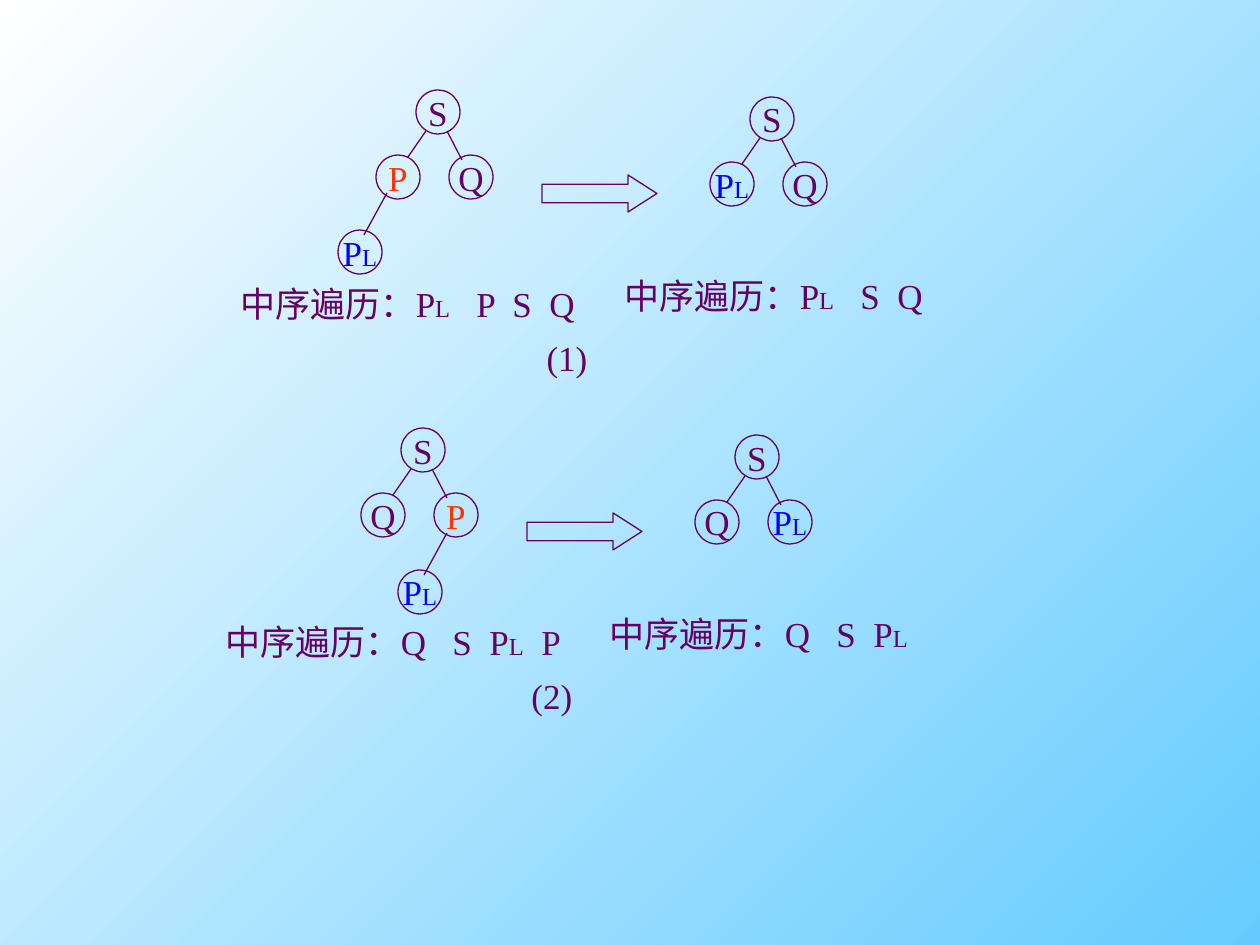
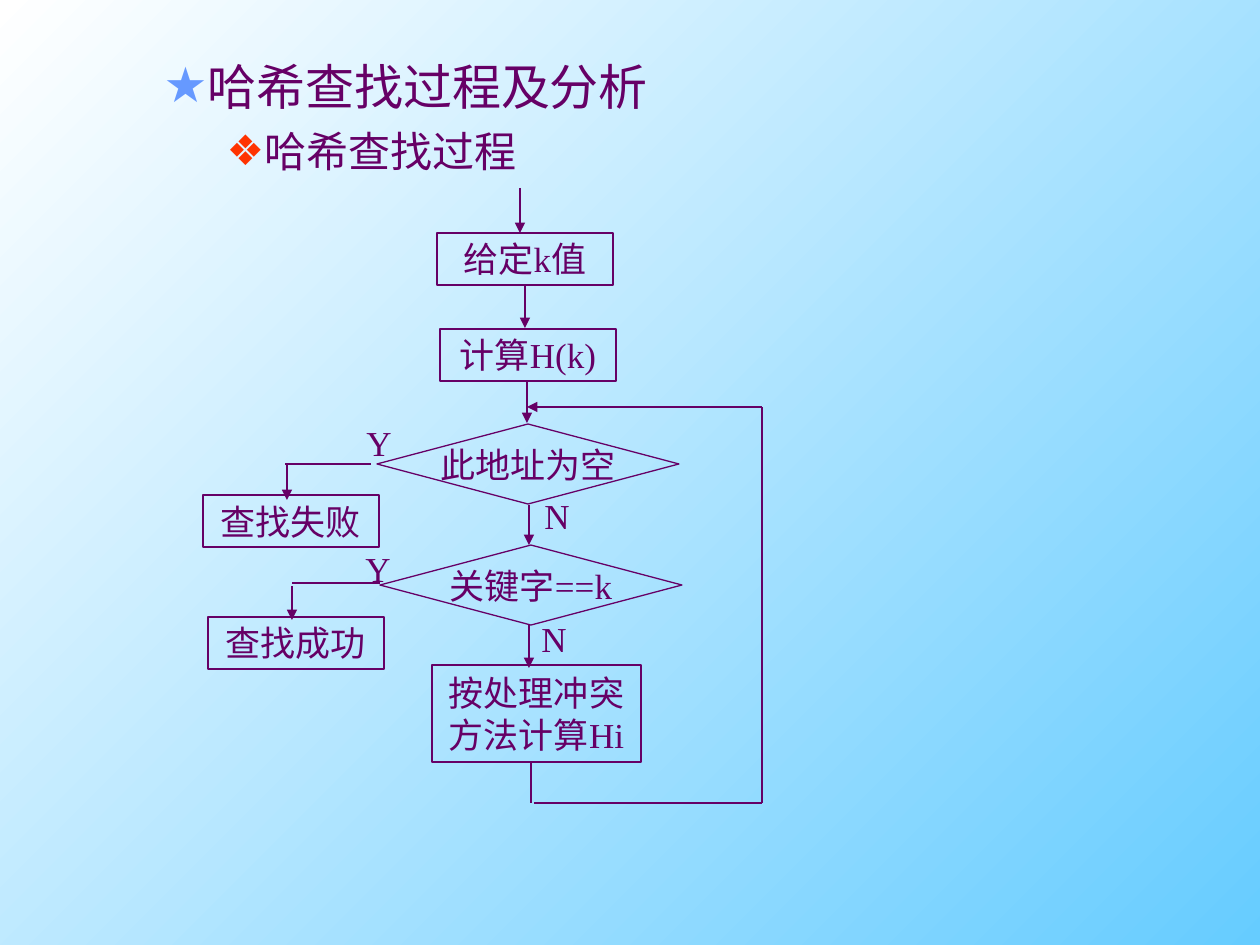
import lxml.etree
import pptx
import pptx.dml.color
import pptx.enum.shapes
import pptx.enum.text
import pptx.oxml.ns
import pptx.util

EMU_PER_PIXEL = 914400 / 126
INK, REMOVED, CHILD, STAR = "660066", "FF3300", "0000FF", "6699FF"
SKY, WHITE = "66CCFF", "FFFFFF"
SERIF, SANS = "Times New Roman", "Arial"
SHAPES = pptx.enum.shapes.MSO_SHAPE
CENTER, LEFT = pptx.enum.text.PP_ALIGN.CENTER, pptx.enum.text.PP_ALIGN.LEFT
NODE_COLOURS = {"P": REMOVED, "PL": CHILD}
NODE_SIZE = 44
LABEL_SIZE = (50, 55)
CAPTION_START = 184
NAME_ADVANCE = {"PL": 52, "P": 36, "S": 37, "Q": 43}


def px(length):
    """Turn pixels into EMU."""
    return round(length * EMU_PER_PIXEL)


def rgb(colour):
    """Turn a hex string into a colour."""
    return pptx.dml.color.RGBColor.from_string(colour)


def add_element(parent, tag, **attributes):
    """Append a DrawingML element to a parent."""
    return lxml.etree.SubElement(parent, pptx.oxml.ns.qn(tag), attributes)


def set_font(para, size, colour=INK, name=SERIF):
    """Set the font of a whole paragraph."""
    para.font.size = pptx.util.Pt(size)
    para.font.name = name
    para.font.color.rgb = rgb(colour)


def add_name(para, name):
    """Add a node name, with any second letter smaller."""
    para.add_run().text = name[0]
    if name[1:]:
        span = para.add_run()
        span.text = name[1:]
        span.font.size = pptx.util.Pt(14)


def add_outline(page, kind, left, top, width, height):
    """Add an unfilled shape with a thin outline."""
    shape = page.shapes.add_shape(kind, px(left), px(top), px(width), px(height))
    shape.shadow.inherit = False
    shape.fill.background()
    shape.line.color.rgb = rgb(INK)
    shape.line.width = pptx.util.Pt(0.75)
    shape.text_frame.word_wrap = False
    return shape


def add_step(page, kind, left, top, width, height, lines):
    """Add a flowchart step with one paragraph for each line."""
    frame = add_outline(page, kind, left, top, width, height).text_frame
    frame.vertical_anchor = pptx.enum.text.MSO_ANCHOR.MIDDLE
    for index, line in enumerate(lines):
        para = frame.add_paragraph() if index else frame.paragraphs[0]
        para.text = line
        para.alignment = CENTER
        set_font(para, 20)


def add_label(page, left, top, width, height, text, align=LEFT):
    """Add a one-line text box and return its text frame."""
    box = page.shapes.add_textbox(px(left), px(top), px(width), px(height))
    frame = box.text_frame
    frame.word_wrap = False
    para = frame.paragraphs[0]
    para.text = text
    para.alignment = align
    return frame


def add_line(page, left, top, start, end, arrow=False):
    """Draw a line between two points given relative to a corner."""
    line = page.shapes.add_connector(
        pptx.enum.shapes.MSO_CONNECTOR.STRAIGHT,
        px(left + start[0]), px(top + start[1]), px(left + end[0]), px(top + end[1]))
    line.line.color.rgb = rgb(INK)
    line.line.width = pptx.util.Pt(0.75)
    if arrow:
        add_element(line.line._get_or_add_ln(), "a:tailEnd", type="triangle")
    add_element(line.element.spPr, "a:effectLst")


def add_node(page, left, top, name):
    """Add a round tree node."""
    frame = add_outline(page, SHAPES.OVAL, left, top, NODE_SIZE, NODE_SIZE).text_frame
    frame.vertical_anchor = pptx.enum.text.MSO_ANCHOR.MIDDLE
    para = frame.paragraphs[0]
    para.alignment = CENTER
    set_font(para, 20, NODE_COLOURS.get(name, INK))
    add_name(para, name)


def add_tree(page, left, top, names, grandchild=None):
    """Draw a root and two children, and a grandchild at an offset if given."""
    for name, (across, down) in zip(names, [(0, 0), (-40, 65), (33, 65)]):
        add_node(page, left + across, top + down, name)
    add_line(page, left, top, (10, 41), (-8, 67))
    add_line(page, left, top, (31, 41), (46, 70))
    if grandchild:
        lower_left, lower_top = left + grandchild[0], top + grandchild[1]
        add_node(page, lower_left, lower_top, "PL")
        add_line(page, lower_left, lower_top, (49, -37), (26, 5))


def add_caption(page, left, top, width, order):
    """Write an in-order traversal, its names aligned by tab stops."""
    frame = add_label(page, left, top, width, 55, "中序遍历：")
    frame.word_wrap = True
    frame.margin_right = 0
    para = frame.paragraphs[0]
    stops = add_element(para._p.get_or_add_pPr(), "a:tabLst")
    position = CAPTION_START
    for name, following in zip(order, order[1:] + [None]):
        add_name(para, name)
        if following:
            position += NAME_ADVANCE[name]
            add_element(stops, "a:tab", pos=str(px(position)), algn="l")
            para.add_run().text = "\t"
    set_font(para, 20)


def add_case(page, left, top, number, before, after, grandchild, order):
    """Draw one deletion case: tree before, arrow, tree after, captions."""
    add_tree(page, left + 188, top, before, grandchild)
    add_tree(page, left + 522, top + 7, after)
    arrow = add_outline(page, SHAPES.RIGHT_ARROW, left + 314, top + 85, 115, 37)
    arrow.adjustments[0], arrow.adjustments[1] = 0.5, 0.78
    add_caption(page, left, top + 186, 360, order)
    add_caption(page, left + 384, top + 178, 323, [name for name in order if name != "P"])
    frame = add_label(page, left + 306, top + 240, 66, 55, f"({number})", CENTER)
    set_font(frame.paragraphs[0], 20)


def build_deletion_page(deck):
    """Build the slide with the two tree deletion cases."""
    page = deck.slides.add_slide(deck.slide_layouts[6])
    add_case(page, 228, 90, 1, ["S", "P", "Q"], ["S", "PL", "Q"], (-78, 140),
             ["PL", "P", "S", "Q"])
    add_case(page, 213, 428, 2, ["S", "Q", "P"], ["S", "Q", "PL"], (-3, 142),
             ["Q", "S", "PL", "P"])


def add_headings(body, left, top, width, height):
    """Place the body placeholder and write its two bulleted headings."""
    body.left, body.top, body.width, body.height = map(px, (left, top, width, height))
    frame = body.text_frame
    frame.auto_size = pptx.enum.text.MSO_AUTO_SIZE.NONE
    headings = [("哈希查找过程及分析", 28, "★", STAR, 102, 39, 0),
                ("哈希查找过程", 24, "❖", REMOVED, 158, 32, 6)]
    for index, (text, size, bullet, colour, margin, hang, gap) in enumerate(headings):
        para = frame.add_paragraph() if index else frame.paragraphs[0]
        para.text = text
        para.level = index + 1
        para.space_before = pptx.util.Pt(gap)
        properties = para._p.get_or_add_pPr()
        properties.set("marL", str(px(margin)))
        properties.set("indent", str(px(-hang)))
        add_element(add_element(properties, "a:buClr"), "a:srgbClr", val=colour)
        add_element(properties, "a:buChar", char=bullet)
        set_font(para, size, name=SANS)


def add_flowchart(page, left, top):
    """Draw the hash search flowchart from its top left corner."""
    process, decision = SHAPES.FLOWCHART_PROCESS, SHAPES.FLOWCHART_DECISION
    small, diamond = (176, 52), (302, 80)
    steps = [(process, 237, 45, small, ["给定k值"]),
             (process, 240, 141, small, ["计算H(k)"]),
             (decision, 177, 236, diamond, ["此地址为空"]),
             (decision, 180, 357, diamond, ["关键字==k"]),
             (process, 3, 307, small, ["查找失败"]),
             (process, 8, 429, small, ["查找成功"]),
             (process, 232, 477, (209, 97), ["按处理冲突", "方法计算Hi"])]
    for kind, across, down, size, lines in steps:
        add_step(page, kind, left + across, top + down, *size, lines)

    arrows = [((320, 0), (320, 45)), ((325, 97), (325, 140)),
              ((327, 193), (327, 235)), ((329, 317), (329, 357)),
              ((329, 437), (329, 480)), ((87, 276), (87, 312)),
              ((92, 398), (92, 432)), ((562, 219), (327, 219))]
    plain_lines = [((171, 276), (85, 276)), ((180, 395), (92, 395)),
                   ((331, 574), (331, 615)), ((334, 615), (562, 615)),
                   ((562, 615), (562, 219))]
    for start, end in arrows:
        add_line(page, left, top, start, end, arrow=True)
    for start, end in plain_lines:
        add_line(page, left, top, start, end)

    for answer, across, down in [("Y", 154, 227), ("N", 332, 300),
                                 ("Y", 153, 353), ("N", 329, 423)]:
        frame = add_label(page, left + across, top + down, *LABEL_SIZE, answer)
        set_font(frame.paragraphs[0], 20)


def build_hash_page(deck):
    """Build the slide with the hash search flowchart."""
    page = deck.slides.add_slide(deck.slide_layouts[1])
    title = page.shapes.title.element
    title.getparent().remove(title)
    add_headings(page.placeholders[1], 88, 50, 1172, 132)
    add_flowchart(page, 200, 188)


def set_background(deck):
    """Give every slide the diagonal sky gradient."""
    fill = deck.slide_master.background.fill
    fill.gradient()
    fill.gradient_angle = 135
    for stop, colour in zip(fill.gradient_stops, [SKY, WHITE]):
        stop.color.rgb = rgb(colour)


def main():
    """Build and save the deck."""
    deck = pptx.Presentation()
    deck.slide_width, deck.slide_height = px(1260), px(945)
    set_background(deck)
    build_deletion_page(deck)
    build_hash_page(deck)
    deck.save("out.pptx")


if __name__ == "__main__":
    main()
